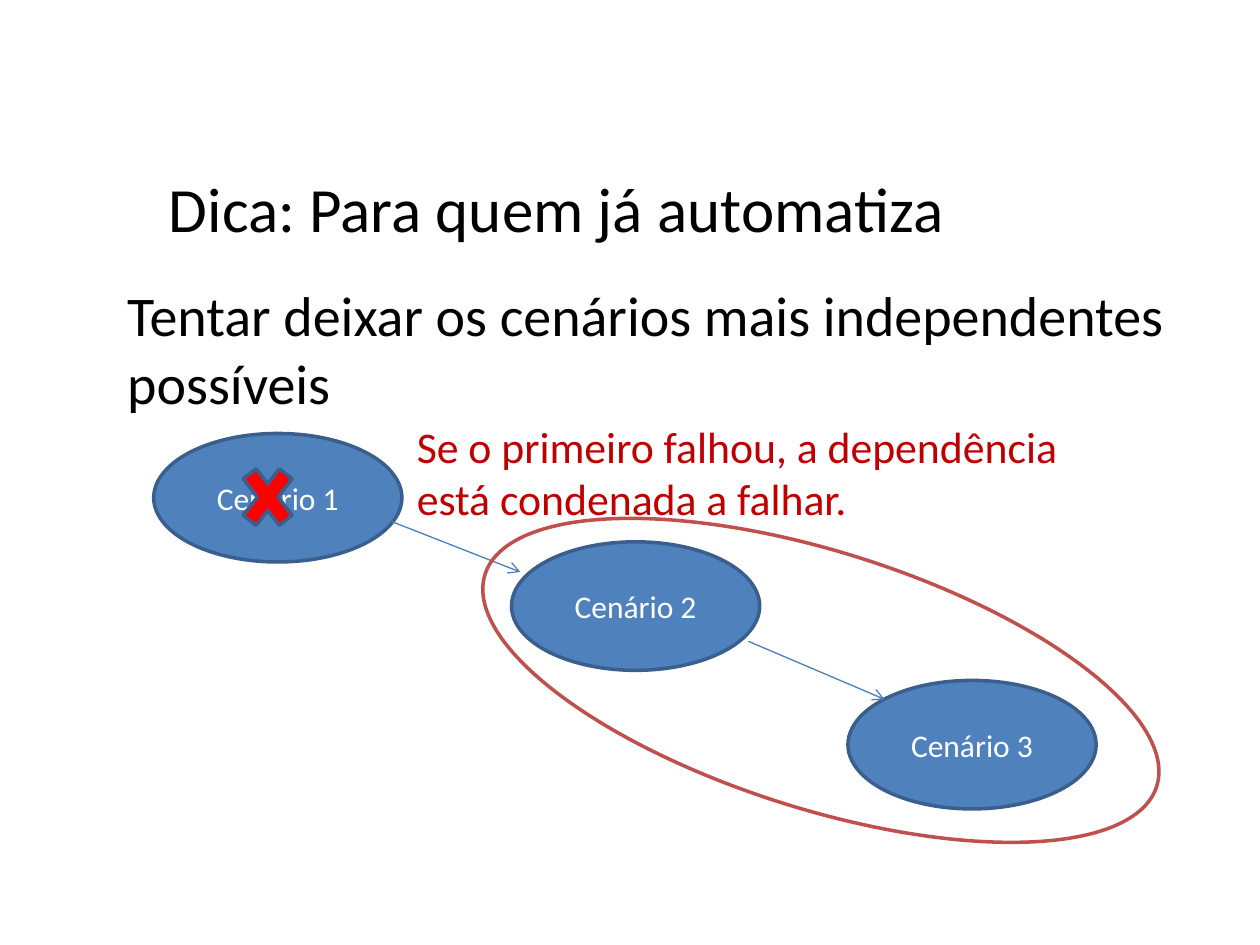
from typing import NamedTuple

from lxml import etree
from pptx import Presentation
from pptx.dml.color import RGBColor
from pptx.enum.shapes import MSO_CONNECTOR, MSO_SHAPE
from pptx.enum.text import MSO_ANCHOR, PP_ALIGN
from pptx.oxml.ns import qn
from pptx.util import Inches, Pt

OVAL, CROSS, STRAIGHT = MSO_SHAPE.OVAL, MSO_SHAPE.MATH_MULTIPLY, MSO_CONNECTOR.STRAIGHT
LEFT, CENTER = PP_ALIGN.LEFT, PP_ALIGN.CENTER
TOP, MIDDLE = MSO_ANCHOR.TOP, MSO_ANCHOR.MIDDLE
FONT = "Calibri"
COLORS = {
    "text": "000000",
    "label": "FFFFFF",
    "scenario": "4F81BD",
    "outline": "3A5F8C",
    "arrow": "4B7EBC",
    "failure": "FF0000",
    "affected": "C0504D",
    "warning": "C00000",
}


class Box(NamedTuple):
    left: float
    top: float
    width: float
    height: float

    def lengths(self) -> list:
        return [Inches(value) for value in self]


class Scenario(NamedTuple):
    label: str
    left: float
    top: float


class Arrow(NamedTuple):
    start: tuple[float, float]
    end: tuple[float, float]


SCENARIO_SIZE = (1.97, 1.02)
SCENARIOS = [
    Scenario("Cenário 1", 1.22, 3.44),
    Scenario("Cenário 2", 4.06, 4.3),
    Scenario("Cenário 3", 6.73, 5.4),
]
ARROWS = [
    Arrow((3.11, 4.14), (4.13, 4.54)),
    Arrow((5.94, 5.09), (7.02, 5.55)),
]


def color(name: str) -> RGBColor:
    return RGBColor.from_string(COLORS[name])


def write(shape, text: str, size: float, color_name: str, alignment=LEFT, anchor=TOP) -> None:
    frame = shape.text_frame
    frame.word_wrap = True
    frame.vertical_anchor = anchor
    paragraph = frame.paragraphs[0]
    paragraph.alignment = alignment
    run = paragraph.add_run()
    run.text = text
    run.font.name = FONT
    run.font.size = Pt(size)
    run.font.color.rgb = color(color_name)


def place(shape, box: Box) -> None:
    shape.left, shape.top, shape.width, shape.height = box.lengths()


def add_outlined_shape(slide, kind, box: Box, line: str, fill: str | None = None):
    shape = slide.shapes.add_shape(kind, *box.lengths())
    shape.shadow.inherit = False
    if fill:
        shape.fill.solid()
        shape.fill.fore_color.rgb = color(fill)
    else:
        shape.fill.background()
    shape.line.color.rgb = color(line)
    shape.line.width = Pt(2)
    return shape


def add_scenario(slide, scenario: Scenario) -> None:
    box = Box(scenario.left, scenario.top, *SCENARIO_SIZE)
    oval = add_outlined_shape(slide, OVAL, box, "outline", "scenario")
    write(oval, scenario.label, 18, "label", CENTER, MIDDLE)


def add_arrow(slide, arrow: Arrow) -> None:
    points = [Inches(value) for value in (*arrow.start, *arrow.end)]
    connector = slide.shapes.add_connector(STRAIGHT, *points)
    connector.line.color.rgb = color("arrow")
    connector.line.width = Pt(0.75)
    etree.SubElement(connector.line._get_or_add_ln(), qn("a:tailEnd"), type="arrow")
    etree.SubElement(connector._element.spPr, qn("a:effectLst"))


def main() -> None:
    presentation = Presentation()
    presentation.slide_width, presentation.slide_height = Inches(10), Inches(7.5)
    slide = presentation.slides.add_slide(presentation.slide_layouts[0])

    title, subtitle = slide.placeholders
    place(title, Box(0.83, 0.84, 7.17, 1.61))
    write(title, "Dica: Para quem já automatiza", 36, "text", CENTER, MIDDLE)
    place(subtitle, Box(0.91, 2.18, 8.5, 1.26))
    write(subtitle, "Tentar deixar os cenários mais independentes possíveis", 32, "text")

    for scenario in SCENARIOS:
        add_scenario(slide, scenario)
    for arrow in ARROWS:
        add_arrow(slide, arrow)

    add_outlined_shape(slide, CROSS, Box(1.85, 3.59, 0.55, 0.71), "outline", "failure")
    affected = add_outlined_shape(slide, OVAL, Box(3.72, 4.38, 5.59, 2.04), "affected")
    affected.rotation = 17.5

    warning = slide.shapes.add_textbox(*Box(3.21, 3.28, 5.73, 0.94).lengths())
    write(warning, "Se o primeiro falhou, a dependência está condenada a falhar.", 25, "warning")

    presentation.save("out.pptx")


if __name__ == "__main__":
    main()
